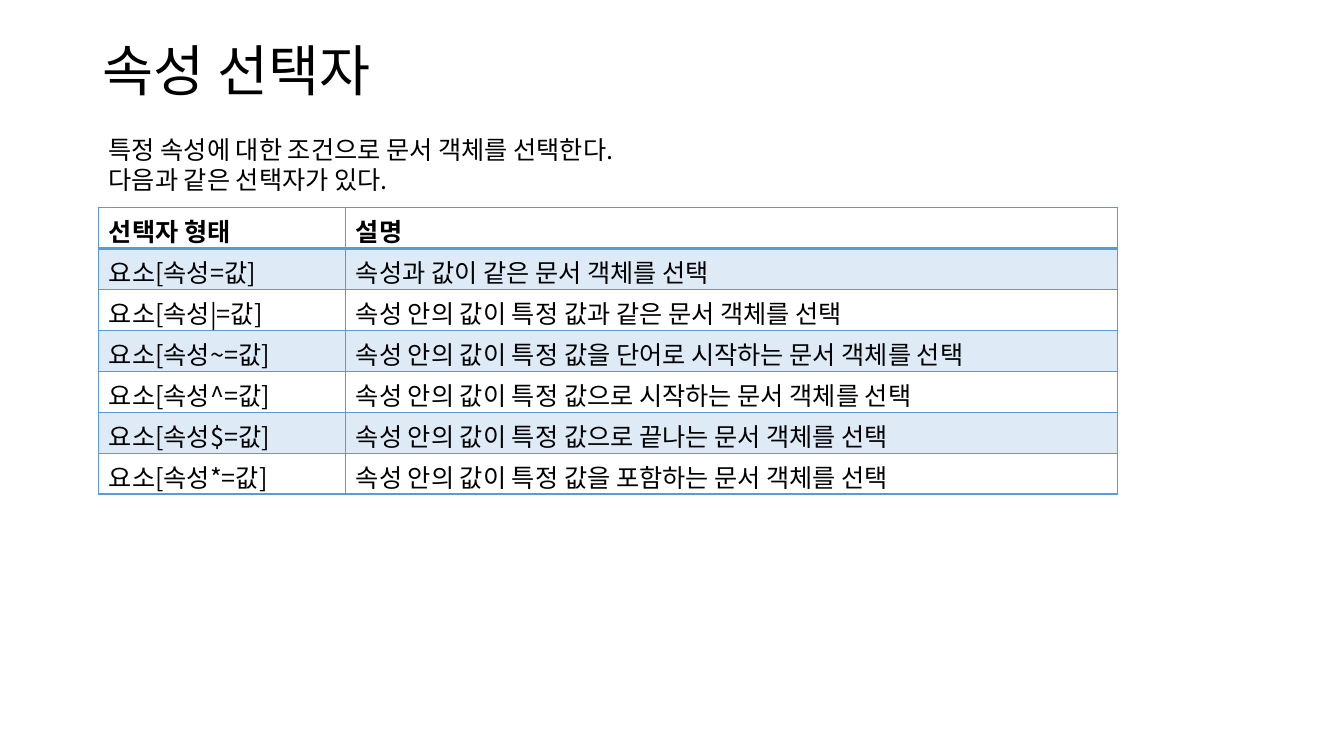
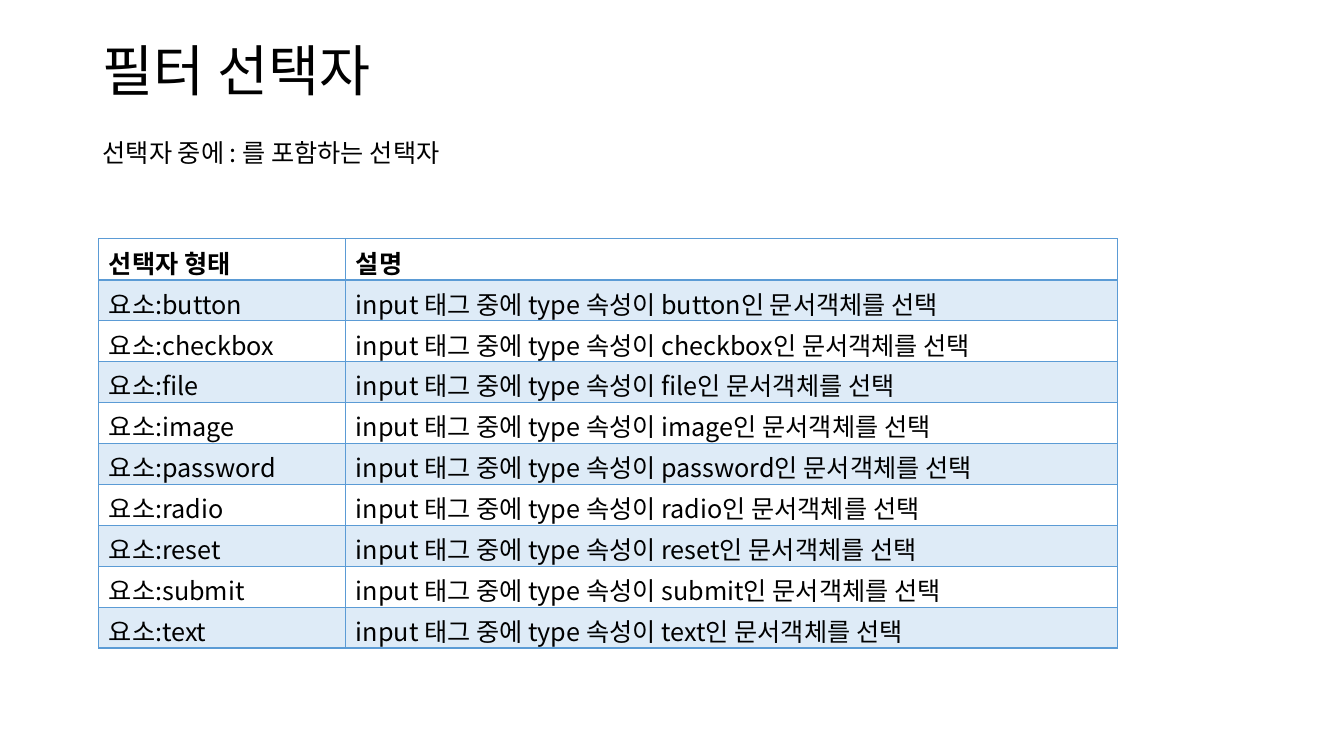
from lxml import etree
from pptx import Presentation
from pptx.dml.color import RGBColor
from pptx.enum.text import MSO_ANCHOR
from pptx.oxml.ns import qn
from pptx.util import Inches, Pt

MIDDLE, TOP = MSO_ANCHOR.MIDDLE, MSO_ANCHOR.TOP
BLACK = RGBColor(0, 0, 0)
BLUE = RGBColor(0x5B, 0x9B, 0xD5)
PALE = RGBColor(0xDE, 0xEB, 0xF7)
FACE = "Noto Sans CJK KR"

HEAD = ("선택자 형태", "설명")
SIGNS = [
    ("=", "속성과 값이 같은"),
    ("|=", "속성 안의 값이 특정 값과 같은"),
    ("~=", "속성 안의 값이 특정 값을 단어로 시작하는"),
    ("^=", "속성 안의 값이 특정 값으로 시작하는"),
    ("$=", "속성 안의 값이 특정 값으로 끝나는"),
    ("*=", "속성 안의 값이 특정 값을 포함하는"),
]
TYPES = ["button", "checkbox", "file", "image", "password",
         "radio", "reset", "submit", "text"]

PAGES = [
    {
        "title": "속성 선택자",
        "intro": ["특정 속성에 대한 조건으로 문서 객체를 선택한다.",
                  "다음과 같은 선택자가 있다."],
        "box": (0.98, 1.28, 5.84, 0.71),
        "top": 2.06,
        "rows": [(f"요소[속성{sign}값]", f"{rule} 문서 객체를 선택")
                 for sign, rule in SIGNS],
    },
    {
        "title": "필터 선택자",
        "intro": ["선택자 중에 : 를 포함하는 선택자"],
        "box": (0.92, 1.31, 3.99, 0.4),
        "top": 2.37,
        "rows": [(f"요소:{kind}",
                  f"input 태그 중에 type 속성이 {kind}인 문서객체를 선택")
                 for kind in TYPES],
    },
]

TITLE_BOX = (0.92, 0.4, 11.5, 0.66)
LEFT = 0.98
COLS = (2.45, 7.65)
ROW = 0.406
TITLE = {"size": Pt(39.6), "bold": False}
BODY = {"size": Pt(18), "bold": False}
STRONG = {"size": Pt(18), "bold": True}


def write(frame, lines, style, space=None):
    for i, line in enumerate(lines):
        para = frame.paragraphs[0] if i == 0 else frame.add_paragraph()
        para.line_spacing = space
        run = para.add_run()
        run.text = line
        font = run.font
        for name, value in {"name": FACE, **style}.items():
            setattr(font, name, value)
        font.color.rgb = BLACK
        asian = etree.SubElement(run._r.get_or_add_rPr(), qn("a:ea"))
        asian.set("typeface", FACE)


def add_text(slide, box, lines, style, anchor=TOP, space=None):
    frame = slide.shapes.add_textbox(*map(Inches, box)).text_frame
    frame.word_wrap = True
    frame.vertical_anchor = anchor
    write(frame, lines, style, space)


def edge(cell, side, width):
    line = etree.SubElement(cell._tc.get_or_add_tcPr(), qn("a:ln" + side))
    line.set("w", str(Pt(width)))
    fill = etree.SubElement(line, qn("a:solidFill"))
    etree.SubElement(fill, qn("a:srgbClr")).set("val", str(BLUE))


def add_grid(slide, top, rows):
    size = (LEFT, top, sum(COLS), ROW * len(rows))
    grid = slide.shapes.add_table(
        len(rows), len(COLS), *map(Inches, size)).table
    grid.first_row = grid.horz_banding = False
    for col, width in zip(grid.columns, COLS):
        col.width = Inches(width)
    for r, row in enumerate(rows):
        grid.rows[r].height = Inches(ROW)
        for c, text in enumerate(row):
            cell = grid.cell(r, c)
            write(cell.text_frame, [text], BODY if r else STRONG)
            for side in "LRTB":
                edge(cell, side, 2 if r == 0 and side == "B" else 1)
            if r % 2:
                cell.fill.solid()
                cell.fill.fore_color.rgb = PALE
            else:
                cell.fill.background()


deck = Presentation()
deck.slide_width, deck.slide_height = Inches(13.33), Inches(7.5)
for page in PAGES:
    slide = deck.slides.add_slide(deck.slide_layouts[6])
    add_text(slide, TITLE_BOX, [page["title"]], TITLE, MIDDLE, 0.9)
    add_text(slide, page["box"], page["intro"], BODY)
    add_grid(slide, page["top"], [HEAD] + page["rows"])
deck.save("out.pptx")
